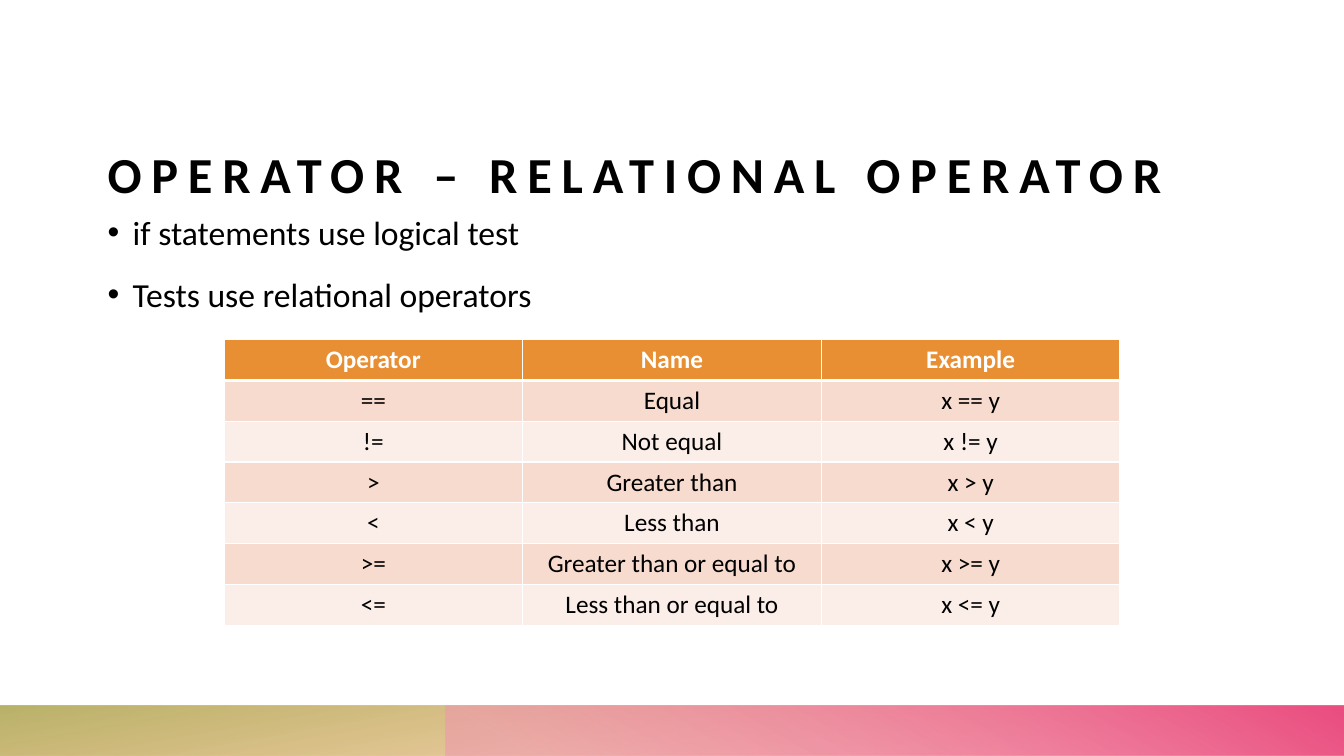
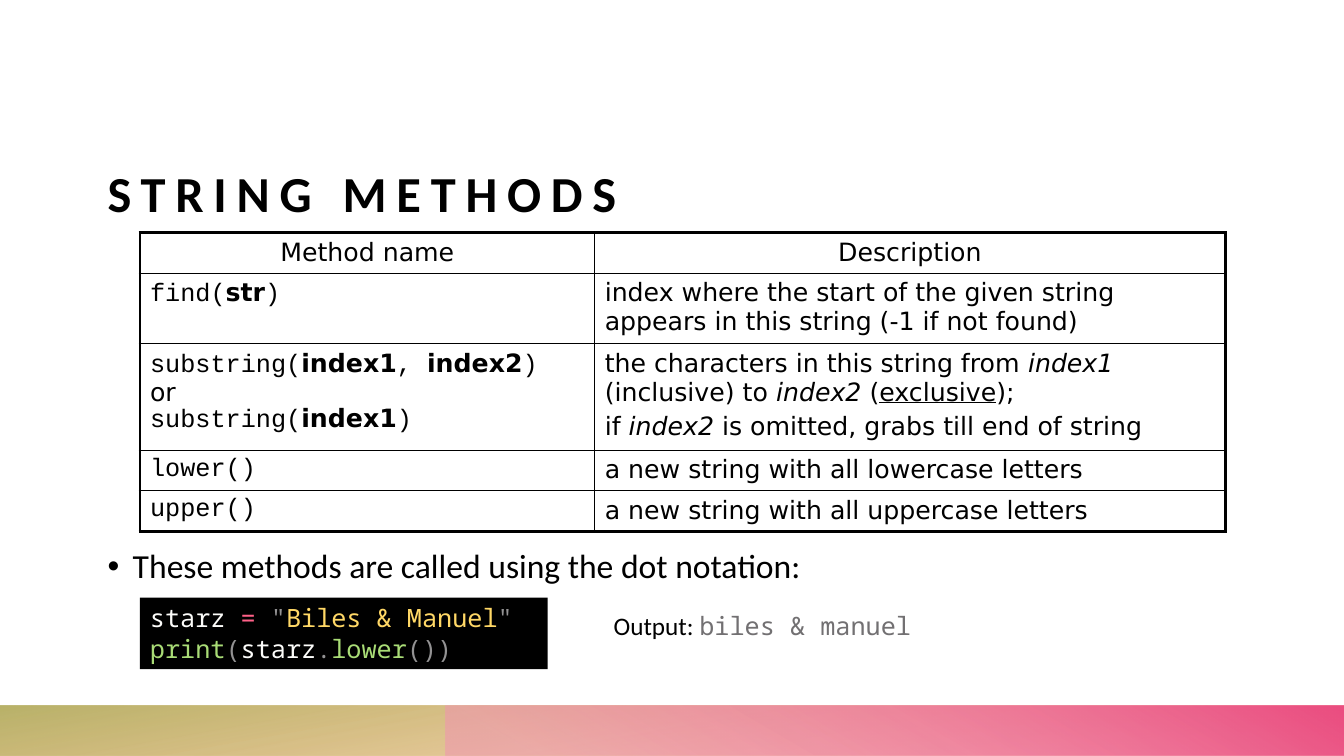
from dataclasses import dataclass
from typing import Callable, Optional, Sequence

from lxml.etree import SubElement
from pptx import Presentation
from pptx.dml.color import RGBColor
from pptx.enum.shapes import MSO_SHAPE as Shape
from pptx.enum.text import MSO_ANCHOR as Anchor, MSO_AUTO_SIZE as AutoSize, PP_ALIGN as Align
from pptx.oxml.ns import qn
from pptx.util import Emu, Inches, Pt

W, H = Inches(13.33), Inches(7.5)
COLUMNS, ROWS = 120, 75

BLACK = RGBColor(0x00, 0x00, 0x00)
WHITE = RGBColor(0xFF, 0xFF, 0xFF)
ORANGE = RGBColor(0xE8, 0x8F, 0x33)
OLIVE = RGBColor(0xAC, 0xA5, 0x4F)
PINK = RGBColor(0xF3, 0x95, 0xB3)
ROSE = RGBColor(0xEB, 0x4E, 0x81)
PEACH = RGBColor(0xF6, 0xDB, 0xCE)
CREAM = RGBColor(0xFB, 0xEE, 0xE8)
CODE_TEXT = RGBColor(0xFC, 0xFC, 0xFA)
CODE_OPERATOR = RGBColor(0xFF, 0x61, 0x88)
CODE_MARK = RGBColor(0x93, 0x92, 0x93)
CODE_STRING = RGBColor(0xFF, 0xD8, 0x66)
CODE_CALL = RGBColor(0xA9, 0xDC, 0x76)
OUTPUT_GRAY = RGBColor(0x72, 0x70, 0x72)

BODY, SANS, COURIER, MONO = "Calibri", "DejaVu Sans", "Courier New", "Noto Sans Mono"
MARGIN, CONTENT = 9.6, 100.8


@dataclass(frozen=True)
class Run:
    text: str
    font: str = BODY
    color: RGBColor = BLACK
    bold: bool = False
    italic: bool = False
    underline: bool = False


@dataclass(frozen=True)
class Para:
    runs: Sequence[Run]
    align: Align = Align.LEFT
    before: float = 0
    line: Optional[float] = None
    bullet: bool = False


@dataclass(frozen=True)
class Stop:
    pos: int
    color: RGBColor
    alpha: int = 100


@dataclass(frozen=True)
class Band:
    left: float
    angle: int
    stops: Sequence[Stop]
    rotation: int = 0


@dataclass(frozen=True)
class Cell:
    paras: Sequence[Para]
    fill: Optional[RGBColor] = None


@dataclass(frozen=True)
class Edges:
    color: RGBColor
    outer: float
    inner: float
    header: float


BANDS = (
    Band(0, 100, (Stop(14, ORANGE, 28), Stop(100, OLIVE, 85)), rotation=180),
    Band(39.75, 240, (Stop(9, PINK, 55), Stop(99, ROSE))),
)


def cx(columns: float) -> Emu:
    return Emu(round(W * columns / COLUMNS))


def cy(rows: float) -> Emu:
    return Emu(round(H * rows / ROWS))


def box(left: float, top: float, width: float, height: float) -> tuple:
    return cx(left), cy(top), cx(width), cy(height)


def write(tf, paras: Sequence[Para], size: float) -> None:
    for i, para in enumerate(paras):
        p = tf.add_paragraph() if i else tf.paragraphs[0]
        if para.bullet:
            pPr = p._p.get_or_add_pPr()
            pPr.set("marL", str(Inches(0.25)))
            pPr.set("indent", str(-Inches(0.25)))
            SubElement(pPr, qn("a:buFont"), typeface="Arial")
            SubElement(pPr, qn("a:buChar"), char="•")
        p.alignment = para.align
        p.space_before = Pt(para.before)
        if para.line:
            p.line_spacing = para.line
        for run in para.runs:
            r = p.add_run()
            r.text = run.text
            f = r.font
            f.name, f.size, f.color.rgb = run.font, Pt(size), run.color
            f.bold, f.italic, f.underline = run.bold, run.italic, run.underline


def add_band(s, layout, band: Band) -> None:
    sp = s.shapes.add_shape(Shape.RECTANGLE, *box(band.left, 70, COLUMNS - band.left, 5))
    sp.shadow.inherit = False
    sp.line.fill.background()
    sp.rotation = band.rotation
    spPr = sp.element.spPr
    spPr.find(qn("a:xfrm")).set("flipH", "1")
    grad = SubElement(spPr, qn("a:gradFill"), rotWithShape="1")
    spPr.find(qn("a:prstGeom")).addnext(grad)
    gs_list = SubElement(grad, qn("a:gsLst"))
    for stop in band.stops:
        gs = SubElement(gs_list, qn("a:gs"), pos=str(stop.pos * 1000))
        color = SubElement(gs, qn("a:srgbClr"), val=str(stop.color))
        SubElement(color, qn("a:alpha"), val=str(stop.alpha * 1000))
    SubElement(grad, qn("a:lin"), ang=str(band.angle * 60000), scaled="0")
    shape_id = max(item.shape_id for item in layout.shapes) + 1
    sp.element.nvSpPr.cNvPr.set("id", str(shape_id))
    layout.shapes.element.append(sp.element)


def add_titled_slide(prs, layout, title: str, bottom: float):
    s = prs.slides.add_slide(layout)
    sp = s.shapes.title
    sp.left, sp.top, sp.width, sp.height = box(MARGIN, bottom - 13.5, CONTENT, 13.5)
    tf = sp.text_frame
    tf.word_wrap, tf.auto_size, tf.vertical_anchor = True, AutoSize.NONE, Anchor.BOTTOM
    tf.margin_left = tf.margin_top = tf.margin_right = tf.margin_bottom = 0
    write(tf, [Para([Run(title, bold=True)])], 36)
    tf.paragraphs[0].runs[0].font._element.set("spc", "700")
    return s


def add_bullets(s, top: float, height: float, lines: Sequence[str]) -> None:
    tf = s.shapes.add_textbox(*box(MARGIN, top, CONTENT, height)).text_frame
    tf.word_wrap = True
    tf.margin_left = tf.margin_top = tf.margin_right = tf.margin_bottom = 0
    write(tf, [Para([Run(line)], before=10 if i else 0, line=1.2, bullet=True)
               for i, line in enumerate(lines)], 24)


def set_borders(cell, color: RGBColor, widths: dict[str, float]) -> None:
    tcPr = cell._tc.get_or_add_tcPr()
    for side, width in widths.items():
        ln = SubElement(tcPr, qn(f"a:ln{side}"), w=str(Pt(width)))
        SubElement(SubElement(ln, qn("a:solidFill")), qn("a:srgbClr"), val=str(color))


def add_grid_table(s, left: float, top: float, widths: Sequence[float], heights: Sequence[float],
                   cells: Sequence[Sequence[Cell]], edges: Edges) -> None:
    n_rows, n_cols = len(heights), len(widths)
    frame = s.shapes.add_table(n_rows, n_cols, *box(left, top, sum(widths), sum(heights)))
    table = frame.table
    table.first_row = table.horz_banding = False
    for column, width in zip(table.columns, widths):
        column.width = cx(width)
    for row, height in zip(table.rows, heights):
        row.height = cy(height)

    def row_edge(i: int) -> float:
        return edges.outer if i in (0, n_rows) else edges.header if i == 1 else edges.inner

    def col_edge(i: int) -> float:
        return edges.outer if i in (0, n_cols) else edges.inner

    for i, row in enumerate(cells):
        for j, item in enumerate(row):
            cell = table.cell(i, j)
            set_borders(cell, edges.color, {"L": col_edge(j), "R": col_edge(j + 1),
                                            "T": row_edge(i), "B": row_edge(i + 1)})
            if item.fill is None:
                cell.fill.background()
            else:
                cell.fill.solid()
                cell.fill.fore_color.rgb = item.fill
            write(cell.text_frame, item.paras, 18)


def operator_cells() -> list[list[Cell]]:
    names = {"==": "Equal", "!=": "Not equal", ">": "Greater than", "<": "Less than",
             ">=": "Greater than or equal to", "<=": "Less than or equal to"}
    rows = [("Operator", "Name", "Example")]
    rows += [(sign, name, f"x {sign} y") for sign, name in names.items()]

    def cell(i: int, text: str) -> Cell:
        run = Run(text, color=BLACK if i else WHITE, bold=not i)
        return Cell([Para([run], Align.CENTER)], (CREAM, PEACH)[i % 2] if i else ORANGE)

    return [[cell(i, text) for text in row] for i, row in enumerate(rows)]


def sans(text: str, **fmt) -> Run:
    return Run(text, SANS, **fmt)


def signature(name: str, *args: str) -> list[Run]:
    if not args:
        return [Run(f"{name}()", COURIER)]
    runs = [Run(f"{name}(", COURIER)]
    for i, arg in enumerate(args):
        if i:
            runs.append(Run(", ", COURIER))
        runs.append(sans(arg, bold=True))
    return runs + [Run(")", COURIER)]


def method_cells() -> list[list[Cell]]:
    substring = [
        Para(signature("substring", "index1", "index2")),
        Para([sans("or")], before=3.6, line=0.7),
        Para(signature("substring", "index1"), before=3.6, line=0.7),
    ]
    characters = [
        Para([sans("the characters in this string from "), sans("index1", italic=True),
              sans(" (inclusive) to "), sans("index2", italic=True), sans(" ("),
              sans("exclusive", underline=True), sans(");")]),
        Para([sans("if "), sans("index2", italic=True),
              sans(" is omitted, grabs till end of string")], before=3.6),
    ]
    found = "index where the start of the given string appears in this string (-1 if not found)"
    rows = [
        [[Para([sans(text)], Align.CENTER)] for text in ("Method name", "Description")],
        [[Para(signature("find", "str"))], [Para([sans(found)])]],
        [substring, characters],
    ]
    rows += [[[Para(signature(case))], [Para([sans(f"a new string with all {case}case letters")])]]
             for case in ("lower", "upper")]
    return [[Cell(paras) for paras in row] for row in rows]


def add_code(s) -> None:
    sp = s.shapes.add_shape(Shape.RECTANGLE, *box(12.5, 59.3, 36.4, 7.1))
    sp.shadow.inherit = False
    sp.fill.solid()
    sp.fill.fore_color.rgb = BLACK
    sp.line.fill.background()
    tf = sp.text_frame
    tf.word_wrap, tf.vertical_anchor = True, Anchor.TOP
    lines = (
        (("starz ", CODE_TEXT), ("= ", CODE_OPERATOR), ('"', CODE_MARK),
         ("Biles & Manuel", CODE_STRING), ('"', CODE_MARK)),
        (("print", CODE_CALL), ("(", CODE_MARK), ("starz", CODE_TEXT), (".", CODE_MARK),
         ("lower", CODE_CALL), ("())", CODE_MARK)),
    )
    write(tf, [Para([Run(text, MONO, color) for text, color in line]) for line in lines], 18)


def add_output(s) -> None:
    tf = s.shapes.add_textbox(*box(53.9, 60.1, 32, 4)).text_frame
    tf.word_wrap = True
    write(tf, [Para([Run("Output: "), Run("biles & manuel", MONO, OUTPUT_GRAY)])], 18)


def build_operators(s) -> None:
    add_bullets(s, 20.2, 12, ["if statements use logical test", "Tests use relational operators"])
    add_grid_table(s, 20, 33.7, [80 / 3] * 3, [4.05] * 7, operator_cells(), Edges(WHITE, 1, 1, 3))


def build_methods(s) -> None:
    add_grid_table(s, 12.5, 23.1, [40.6, 56.3], [4, 7, 10.6, 4, 4], method_cells(),
                   Edges(BLACK, 2.25, 1, 1))
    add_bullets(s, 53.3, 5, ["These methods are called using the dot notation:"])
    add_code(s)
    add_output(s)


def main() -> None:
    prs = Presentation()
    prs.slide_width, prs.slide_height = W, H
    layout = prs.slide_layouts[5]
    builds: list[tuple[str, float, Callable]] = [
        ("OPERATOR – RELATIONAL OPERATOR", 20.2, build_operators),
        ("STRING METHODS", 22.1, build_methods),
    ]
    for title, bottom, build in builds:
        build(add_titled_slide(prs, layout, title, bottom))
    for band in BANDS:
        add_band(prs.slides[0], layout, band)
    prs.save("out.pptx")


if __name__ == "__main__":
    main()
